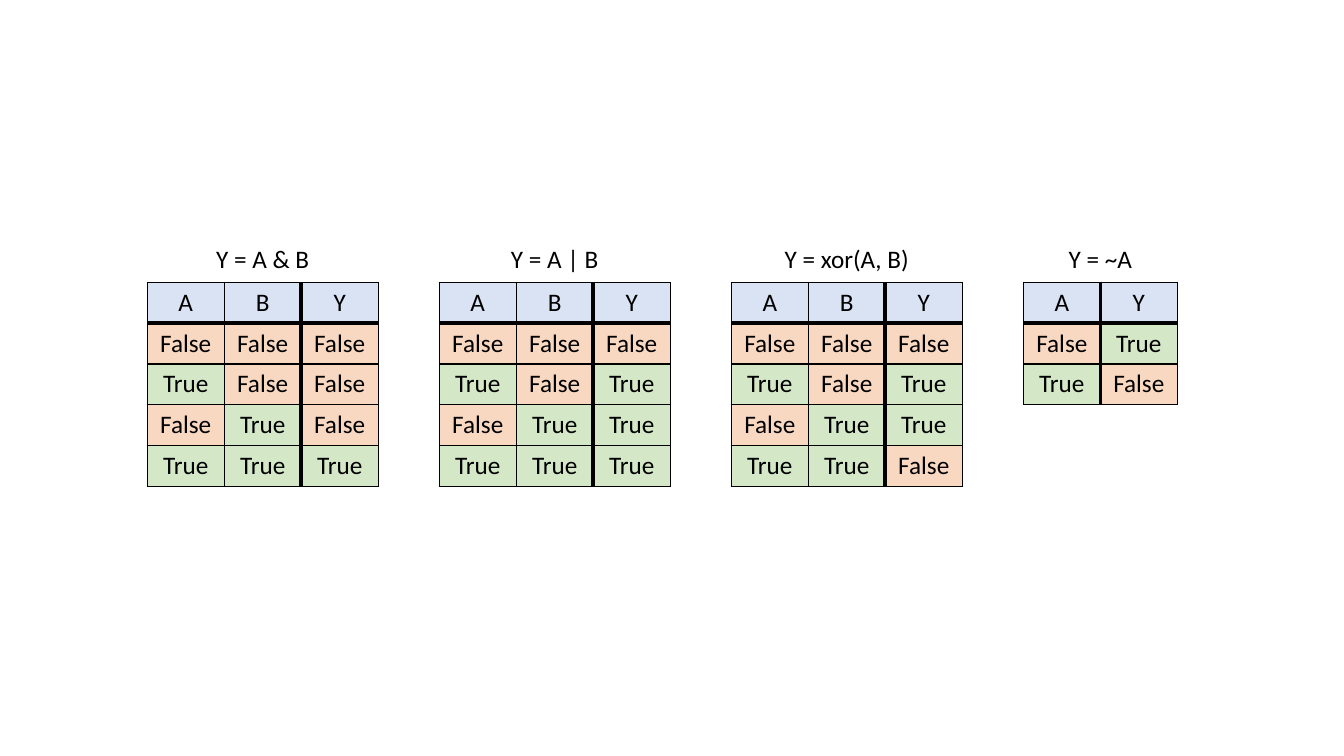
from itertools import product

from lxml import etree
from pptx import Presentation
from pptx.dml.color import RGBColor
from pptx.enum import text
from pptx.oxml import ns
from pptx.util import Cm, Pt

BLACK, HEADER_BLUE = "000000", "DAE3F3"
VALUE_FILLS = {True: "A9D18E", False: "F4B183"}
THIN, THICK = Pt(1), Pt(3)

# Layout in cm
LEFT, STEP = 3.71, 7.36
CAPTION_TOP, CAPTION_HEIGHT = 6, 1.03
TABLE_TOP, COL_WIDTH, ROW_HEIGHT = 7.11, 1.94, 1.03

# Caption, caption width, input names, logic function
GATES = [
    ("Y = A & B", 2.9, "AB", lambda a, b: a and b),
    ("Y = A | B", 2.74, "AB", lambda a, b: a or b),
    ("Y = xor(A, B)", 3.68, "AB", lambda a, b: a != b),
    ("Y = ~A", 2.13, "A", lambda a: not a),
]


def color(hex_value):
    return RGBColor.from_string(hex_value)


def write(tf, content, size=18, font="Calibri", fill=BLACK,
          align=text.PP_ALIGN.CENTER):
    p = tf.paragraphs[0]
    p.alignment = align
    r = p.add_run()
    r.text = content
    r.font.size, r.font.name = Pt(size), font
    r.font.color.rgb = color(fill)


def fill_cell(cell, hex_value, alpha=None):
    cell.fill.solid()
    cell.fill.fore_color.rgb = color(hex_value)
    if alpha is not None:
        clr = cell._tc.tcPr.find(".//" + ns.qn("a:srgbClr"))
        etree.SubElement(clr, ns.qn("a:alpha"), val=str(alpha * 1000))


def set_borders(cell, widths):
    """Insert left, right, top and bottom lines ahead of the cell's fill."""
    tcPr = cell._tc.get_or_add_tcPr()
    for i, (side, width) in enumerate(zip("LRTB", widths)):
        ln = etree.Element(ns.qn(f"a:ln{side}"), w=str(width))
        solid = etree.SubElement(ln, ns.qn("a:solidFill"))
        etree.SubElement(solid, ns.qn("a:srgbClr"), val=BLACK)
        tcPr.insert(i, ln)


def add_caption(slide, content, center, width):
    sp = slide.shapes.add_textbox(Cm(center - width / 2), Cm(CAPTION_TOP),
                                  Cm(width), Cm(CAPTION_HEIGHT))
    tf = sp.text_frame
    tf.word_wrap = False
    tf.auto_size = text.MSO_AUTO_SIZE.SHAPE_TO_FIT_TEXT
    write(tf, content)


def add_truth_table(slide, left, inputs, logic):
    # The first input changes fastest
    states = [s[::-1] for s in product([False, True], repeat=len(inputs))]
    rows = [[*inputs, "Y"]] + [[*s, logic(*s)] for s in states]
    n_rows, n_cols = len(rows), len(rows[0])
    frame = slide.shapes.add_table(
        n_rows, n_cols, Cm(left), Cm(TABLE_TOP),
        Cm(COL_WIDTH * n_cols), Cm(ROW_HEIGHT * n_rows))
    table = frame.table
    for column in table.columns:
        column.width = Cm(COL_WIDTH)
    for row in table.rows:
        row.height = Cm(ROW_HEIGHT)

    for i, values in enumerate(rows):
        for j, value in enumerate(values):
            cell = table.cell(i, j)
            write(cell.text_frame, str(value))
            if i == 0:
                fill_cell(cell, HEADER_BLUE)
            else:
                fill_cell(cell, VALUE_FILLS[value], alpha=49)
            # Thick lines set off the header row and the output column
            set_borders(cell, [
                THICK if j == n_cols - 1 else THIN,
                THICK if j == n_cols - 2 else THIN,
                THICK if i == 1 else THIN,
                THICK if i == 0 else THIN,
            ])


def main():
    prs = Presentation()
    prs.slide_width, prs.slide_height = Cm(33.87), Cm(19.05)
    slide = prs.slides.add_slide(prs.slide_layouts[6])

    # One captioned truth table per gate
    for i, (caption, width, inputs, logic) in enumerate(GATES):
        left = LEFT + i * STEP
        center = left + COL_WIDTH * (len(inputs) + 1) / 2
        add_truth_table(slide, left, inputs, logic)
        add_caption(slide, caption, center, width)

    prs.save("out.pptx")


if __name__ == "__main__":
    main()
